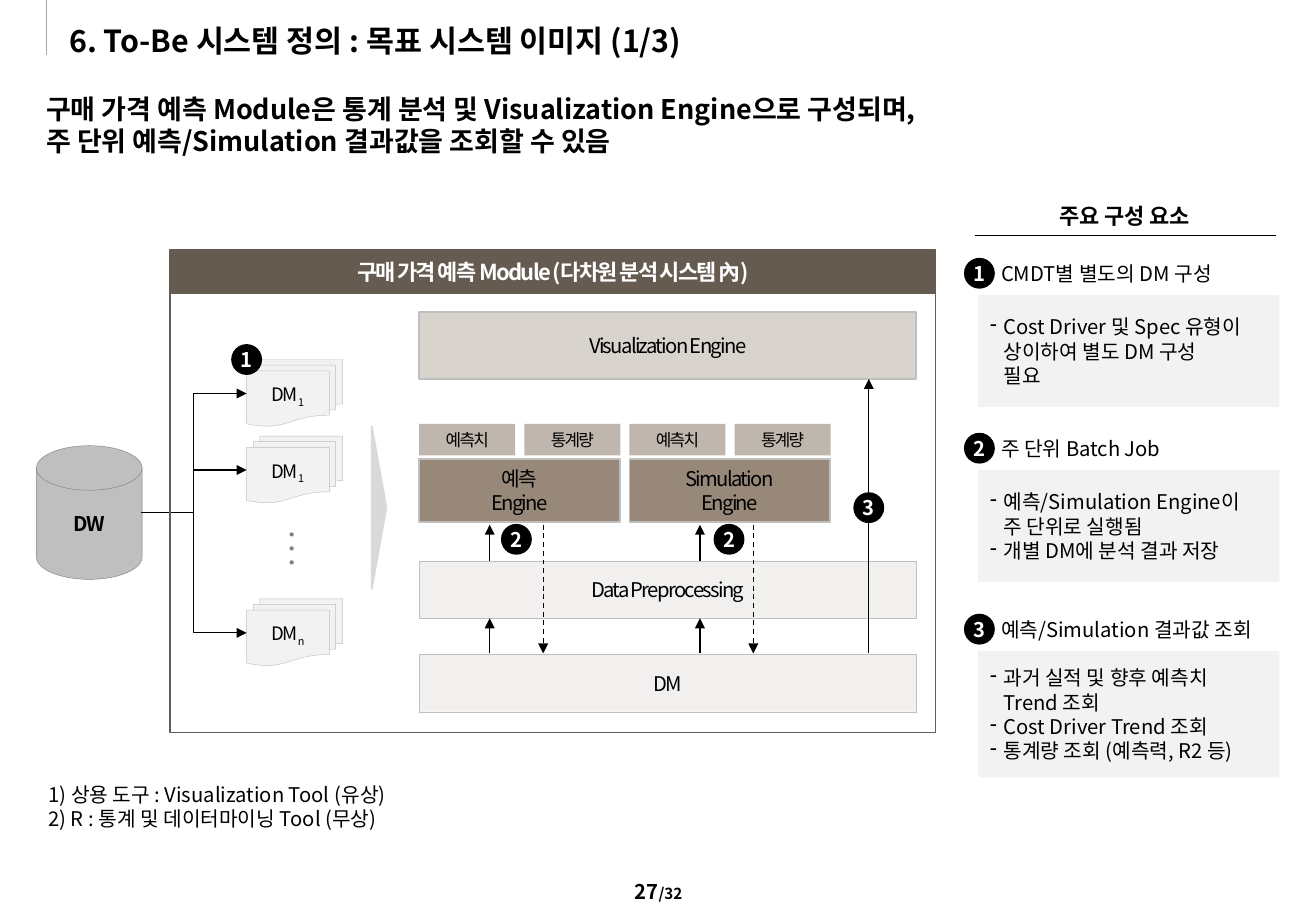
"""Builds the slide that shows the target system of the purchase price forecast module."""
from lxml.etree import SubElement
from pptx import Presentation
from pptx.dml.color import RGBColor
from pptx.enum.dml import MSO_LINE
from pptx.enum.shapes import MSO_CONNECTOR as Link, MSO_SHAPE as Kind
from pptx.enum.text import MSO_ANCHOR as Anchor, MSO_AUTO_SIZE as Fit, PP_ALIGN as Align
from pptx.oxml.ns import qn
from pptx.util import Inches, Pt

FONT = "Noto Sans CJK KR"
BLACK = RGBColor(0x00, 0x00, 0x00)
WHITE = RGBColor(0xFF, 0xFF, 0xFF)
GREY = RGBColor(0x80, 0x80, 0x80)
RULE = RGBColor(0xA6, 0xA6, 0xA6)
EDGE = RGBColor(0xBF, 0xBF, 0xBF)
ARROW = RGBColor(0xD9, 0xD9, 0xD9)
PALE = RGBColor(0xF2, 0xF2, 0xF2)
CREAM = RGBColor(0xF2, 0xF0, 0xEF)
SAND = RGBColor(0xD9, 0xD3, 0xCE)
TAN = RGBColor(0xBF, 0xB6, 0xAD)
BROWN = RGBColor(0x97, 0x88, 0x7A)
DARK = RGBColor(0x66, 0x5B, 0x50)

DATA_MARTS = [(2.96, "1"), (3.59, "1"), (4.93, "n")]
CARDS = [
    (2.13, "CMDT별 별도의 DM 구성", 0.92,
     ["Cost Driver 및 Spec 유형이\v상이하여 별도 DM 구성\v필요"]),
    (3.57, "주 단위 Batch Job", 0.92,
     ["예측/Simulation Engine이\v주 단위로 실행됨", "개별 DM에 분석 결과 저장"]),
    (5.06, "예측/Simulation 결과값 조회", 1.04,
     ["과거 실적 및 향후 예측치\vTrend 조회", "Cost Driver Trend 조회",
      "통계량 조회 (예측력, R2 등)"]),
]


def format_run(span, size, color=BLACK, bold=False, tight=False):
    """Set the font of one run."""
    span.font.size = Pt(size)
    span.font.name = FONT
    span.font.bold = bold
    span.font.color.rgb = color
    props = span.font._element
    SubElement(props, qn("a:ea")).set("typeface", FONT)
    if tight:
        props.set("spc", "-100")


def write(shape, lines, size, align=Align.LEFT, anchor=Anchor.TOP, inset=None, **look):
    """Fill a shape with one paragraph for each line."""
    frame = shape.text_frame
    frame.text = "\n".join(lines)
    frame.word_wrap = True
    frame.auto_size = Fit.NONE
    frame.vertical_anchor = anchor
    if inset is not None:
        frame.margin_left = frame.margin_right = Inches(inset)
        frame.margin_top = frame.margin_bottom = Inches(inset)
    for para in frame.paragraphs:
        para.alignment = align
        para.line_spacing = Pt(size * 1.2)
        para.space_before = Pt(0)
        for span in para.runs:
            format_run(span, size, **look)
    return frame


def set_list(frame, indent, mark=None):
    """Give paragraphs a hanging mark, or none at all."""
    for para in frame.paragraphs:
        props = para._p.get_or_add_pPr()
        props.set("marL", str(Inches(indent)))
        props.set("indent", str(-Inches(indent)))
        if mark:
            SubElement(props, qn("a:buChar")).set("char", mark)
        else:
            SubElement(props, qn("a:buNone"))


def place(shape, left, top, width, height):
    """Move and size a placeholder."""
    shape.left, shape.top = Inches(left), Inches(top)
    shape.width, shape.height = Inches(width), Inches(height)


def add_text(page, left, top, width, height, lines, size, **look):
    """Add a text box."""
    box = page.shapes.add_textbox(Inches(left), Inches(top), Inches(width), Inches(height))
    return write(box, lines, size, **look)


def add_box(page, left, top, width, height, fill=None, line=None, weight=1.0,
            kind=Kind.RECTANGLE):
    """Add a preset shape without shadow."""
    box = page.shapes.add_shape(kind, Inches(left), Inches(top), Inches(width), Inches(height))
    box.shadow.inherit = False
    if fill is None:
        box.fill.background()
    else:
        box.fill.solid()
        box.fill.fore_color.rgb = fill
    if line is None:
        box.line.fill.background()
    else:
        box.line.color.rgb = line
        box.line.width = Pt(weight)
    return box


def label(box, lines, size=12, tight=True, **look):
    """Write centred text in a shape."""
    return write(box, lines, size, align=Align.CENTER, anchor=Anchor.MIDDLE,
                 tight=tight, **look)


def add_badge(page, left, top, number):
    """Add a black circle with a number."""
    badge = add_box(page, left, top, 0.24, 0.24, BLACK, BLACK, kind=Kind.OVAL)
    label(badge, [number], inset=0, color=WHITE, bold=True)


def add_line(page, start, end, color=BLACK, arrow=True, dashed=False, kind=Link.STRAIGHT):
    """Add a line, with an arrowhead at its end if asked."""
    line = page.shapes.add_connector(kind, *(Inches(value) for value in start + end))
    line.line.color.rgb = color
    line.line.width = Pt(0.75)
    if dashed:
        line.line.dash_style = MSO_LINE.DASH
    if arrow:
        SubElement(line.line._get_or_add_ln(), qn("a:tailEnd")).set("type", "triangle")
    SubElement(line._element.spPr, qn("a:effectLst"))


def add_headings(page):
    """Add the title, the key message, the footnotes and the page number."""
    add_line(page, (0.38, 0), (0.38, 0.45), RULE, arrow=False)
    title, body = page.placeholders
    place(title, 0.57, 0.18, 7.45, 0.3)
    write(title, ["6. To-Be 시스템 정의 : 목표 시스템 이미지 (1/3)"], 18,
          anchor=Anchor.MIDDLE, inset=0, bold=True)
    place(body, 0.38, 0.76, 10.08, 0.76)
    message = write(body, ["구매 가격 예측 Module은 통계 분석 및 Visualization Engine으로 구성되며,\v"
                           "주 단위 예측/Simulation 결과값을 조회할 수 있음"], 16, inset=0, bold=True)
    set_list(message, 0)
    add_text(page, 0.3, 6.39, 3.31, 0.5,
             ["1) 상용 도구 : Visualization Tool (유상)", "2) R : 통계 및 데이터마이닝 Tool (무상)"], 12)
    number = add_text(page, 4.29, 7.19, 2.26, 0.33, ["27"], 12, align=Align.CENTER, bold=True)
    total = number.paragraphs[0].add_run()
    total.text = "/32"
    format_run(total, 9, bold=True)


def add_sources(page):
    """Add the warehouse, the data marts and their links."""
    warehouse = add_box(page, 0.3, 3.67, 0.87, 1.1, EDGE, GREY, 0.25,
                        Kind.FLOWCHART_MAGNETIC_DISK)
    label(warehouse, ["DW"], bold=True)
    for top, suffix in DATA_MARTS:
        mart = add_box(page, 2.03, top, 0.79, 0.55, PALE, EDGE, 0.25,
                       Kind.FLOWCHART_MULTIDOCUMENT)
        index = label(mart, ["DM"], 11).paragraphs[0].add_run()
        index.text = suffix
        format_run(index, 11, tight=True)
        index.font._element.set("baseline", "-25000")
        add_line(page, (1.16, 4.22), (2.03, top + 0.28), kind=Link.ELBOW)
    for step in range(3):
        add_box(page, 2.39, 4.39 + step * 0.115, 0.02, 0.02, GREY, GREY, kind=Kind.OVAL)
    arrow = add_box(page, 3.06, 3.51, 0.12, 1.34, ARROW, ARROW, kind=Kind.RIGHT_ARROW)
    arrow.adjustments[1] = 1.0


def add_module(page):
    """Add the module frame with its engines and flows."""
    add_box(page, 1.4, 2.41, 6.3, 3.62, line=DARK)
    header = add_box(page, 1.4, 2.06, 6.3, 0.35, DARK, DARK)
    label(header, ["구매 가격 예측 Module (다차원 분석 시스템 內)"], 13, color=WHITE, bold=True)
    for text, top, height, fill, weight in [("Visualization Engine", 2.57, 0.55, SAND, 1),
                                            ("Data Preprocessing", 4.62, 0.47, CREAM, 0.25),
                                            ("DM", 5.39, 0.47, CREAM, 0.25)]:
        label(add_box(page, 3.45, top, 4.09, height, fill, EDGE, weight), [text])
    for left, name, badge in [(3.45, "예측", 4.13), (5.18, "Simulation", 5.88)]:
        label(add_box(page, left, 3.78, 1.65, 0.52, BROWN, EDGE), [name, "Engine"])
        for column, result in enumerate(["예측치", "통계량"]):
            label(add_box(page, left + column * 0.865, 3.49, 0.79, 0.26, TAN), [result], 10)
        up, down = left + 0.58, left + 1.02
        add_line(page, (up, 4.62), (up, 4.32))
        add_line(page, (up, 5.38), (up, 5.09))
        add_line(page, (down, 4.32), (down, 5.38), dashed=True)
        add_badge(page, badge, 4.32, "2")
    add_line(page, (7.15, 5.38), (7.15, 3.12))
    add_badge(page, 7.03, 4.06, "3")
    add_badge(page, 1.91, 2.84, "1")


def add_cards(page):
    """Add the column of main components."""
    add_text(page, 8.29, 1.67, 1.93, 0.27, ["주요 구성 요소"], 13,
             align=Align.CENTER, inset=0, bold=True)
    add_line(page, (8.02, 1.94), (10.5, 1.94), arrow=False)
    for number, (top, heading, height, points) in enumerate(CARDS, 1):
        add_badge(page, 7.94, top, str(number))
        add_text(page, 8.14, top - 0.03, 2.4, 0.3, [heading], 12)
        card = add_box(page, 8.05, top + 0.3, 2.48, height, PALE)
        set_list(write(card, points, 12, anchor=Anchor.MIDDLE), 0.11, "-")


def main():
    """Build and save the deck."""
    deck = Presentation()
    deck.slide_width, deck.slide_height = Inches(10.83), Inches(7.5)
    page = deck.slides.add_slide(deck.slide_layouts[1])
    add_headings(page)
    add_sources(page)
    add_module(page)
    add_cards(page)
    deck.save("out.pptx")


if __name__ == "__main__":
    main()
